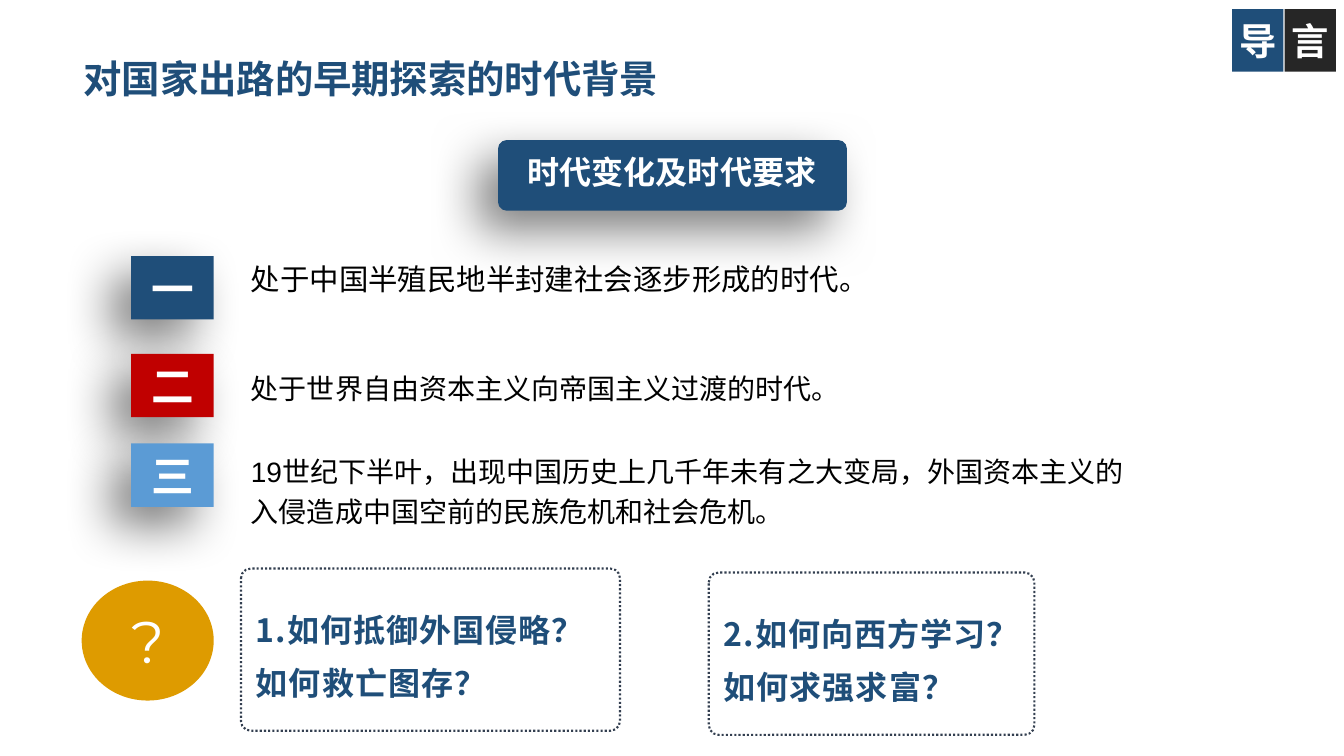
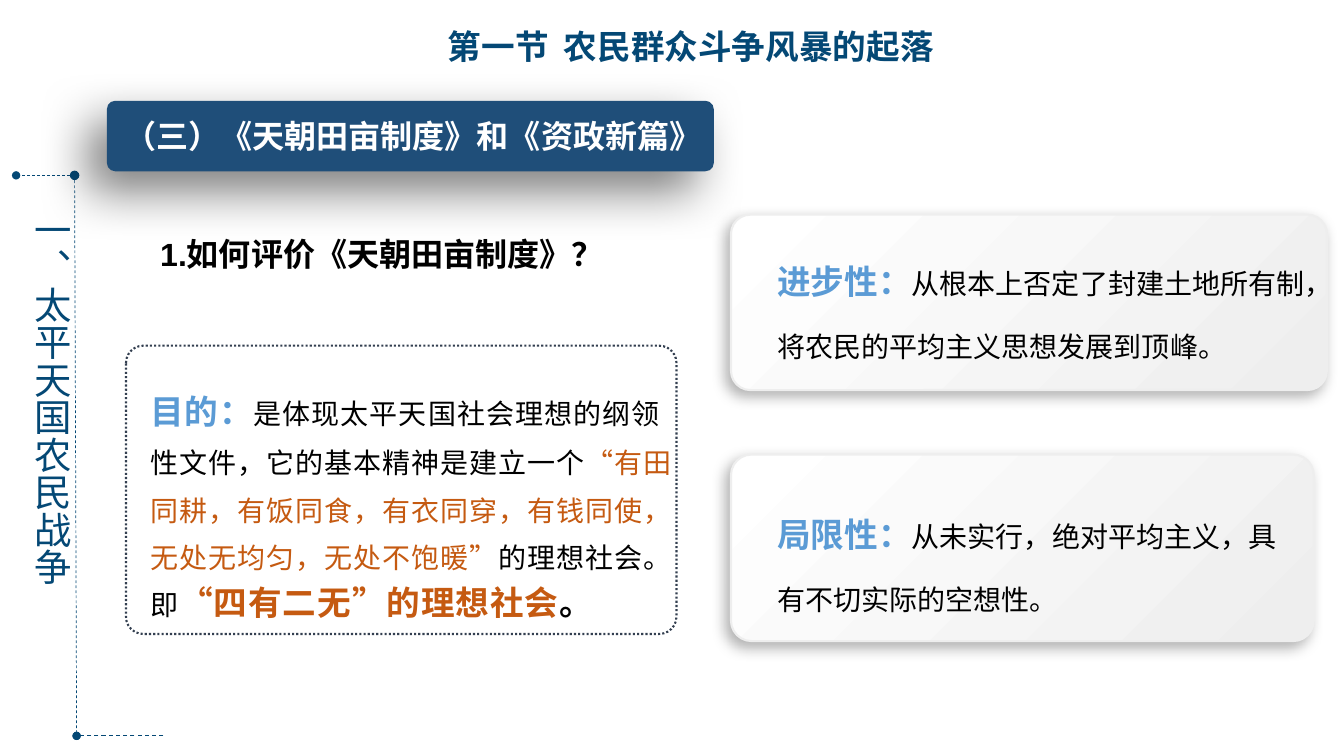
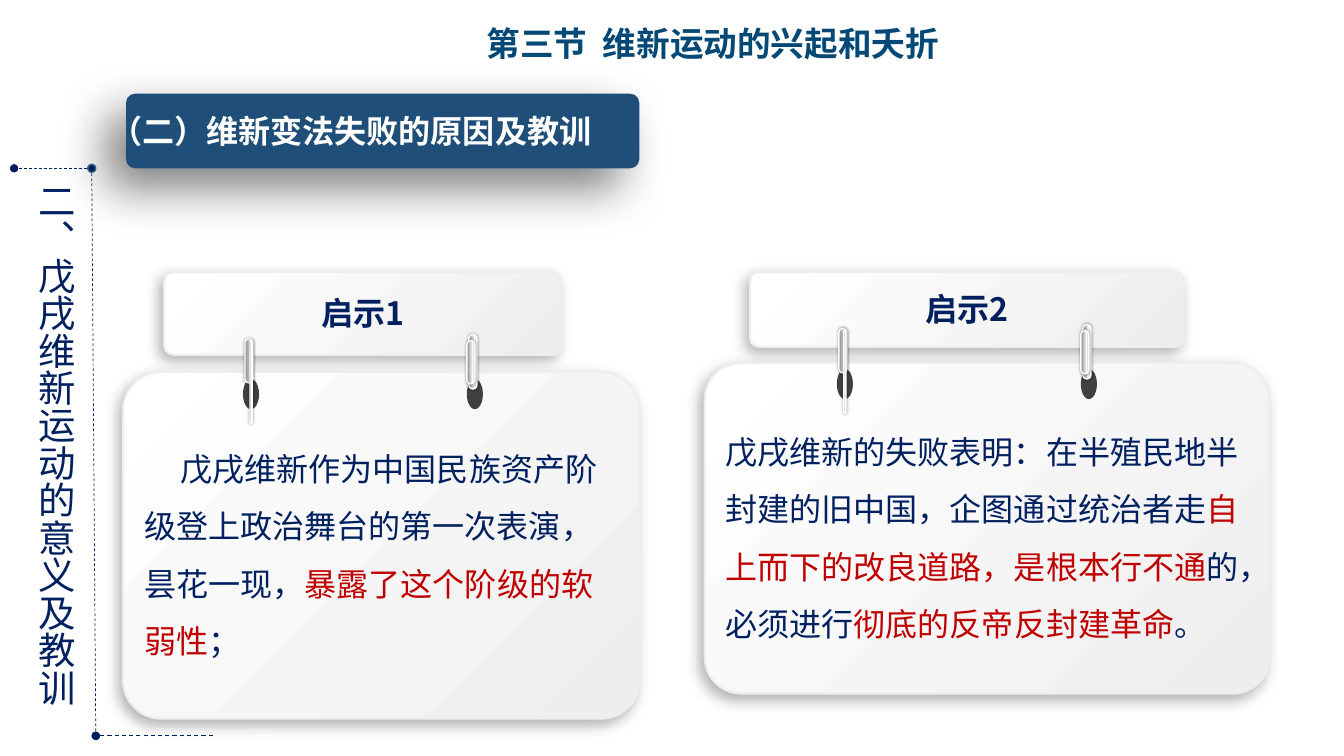
from lxml import etree
from pptx import Presentation
from pptx import util as u
from pptx.dml.color import RGBColor
from pptx.enum import dml, shapes, text
from pptx.oxml.ns import qn

PX = 9144  # EMU per px, 100 px to the inch
HAN = "Noto Sans CJK SC"
COL = {
    "navy": "1F4E79", "title": "044875", "ink": "002060", "sky": "5B9BD5",
    "red": "C00000", "rust": "C55A11", "gold": "DE9B00", "coal": "262626",
    "hole": "404040", "frame": "333F50", "edge": "EEEEEE", "ring": "43739E",
    "white": "FFFFFF", "black": "000000",
}
CARD = [(0, "EEEEEE"), (100, "FFFFFF")]
METAL = [(0, "808080"), (23, "A6A6A6"), (52, "D9D9D9"), (74, "FFFFFF"), (100, "A6A6A6")]
DEEP = (50, 35, 20, 135)  # alpha %, blur pt, distance pt, angle
SOFT = (30, 10, 5, 135)
GLOW = (40, 2, 0, 0)
MID = text.PP_ALIGN.CENTER
KIND = shapes.MSO_SHAPE
LEFT = [(2, -40, 8, 44), (7, -38, 2, 82)]
RIGHT = [(2, -44, 8, 54), (0, -38, 8, 43)]


def rgb(name):
    return RGBColor.from_string(COL[name])


def scale(*nums):
    return [u.Emu(n * PX) for n in nums]


def node(root, tag, **attrs):
    return etree.SubElement(root, qn("a:" + tag), {k: str(v) for k, v in attrs.items()})


def write(frame, *runs, size=20, color="black", bold=False, font=HAN, align=None,
          pitch=None, track=0, indent=0, inset=None, mid=False, vert=False):
    """Fill a frame with one paragraph; a run is a string or (string, changes)."""
    frame.word_wrap = True
    if mid:
        frame.vertical_anchor = text.MSO_ANCHOR.MIDDLE
    if inset:
        (frame.margin_left, frame.margin_top,
         frame.margin_right, frame.margin_bottom) = scale(*inset)
    if vert:
        frame._txBody.bodyPr.set("vert", "eaVert")
    para = frame.paragraphs[0]
    para.alignment = align or text.PP_ALIGN.LEFT
    para.line_spacing = u.Pt(pitch or round(size * 1.2))
    if indent:
        para._p.get_or_add_pPr().set("indent", str(indent * PX))
    for item in runs:
        words, diff = (item, {}) if isinstance(item, str) else item
        for i, line in enumerate(words.split("\n")):
            if i:
                para.add_line_break()
            run = para.add_run()
            run.text = line
            run.font.size = u.Pt(diff.get("size", size))
            run.font.bold = diff.get("bold", bold)
            run.font.color.rgb = rgb(diff.get("color", color))
            run.font.name = font
            prop = run._r.get_or_add_rPr()
            node(prop, "ea", typeface=HAN)
            if track:
                prop.set("spc", str(track))


def label(slide, box, *runs, **form):
    write(slide.shapes.add_textbox(*scale(*box)).text_frame, *runs, **form)


def blend(shape, stops, angle):
    shape.fill.gradient()
    shape.fill.gradient_angle = angle
    group = shape._element.spPr.find(qn("a:gradFill")).find(qn("a:gsLst"))
    for old in list(group):
        group.remove(old)
    for pos, hue in stops:
        node(node(group, "gs", pos=pos * 1000), "srgbClr", val=hue)


def shade(shape, alpha, blur, dist, angle):
    effects = shape._element.spPr.find(qn("a:effectLst"))
    outer = node(effects, "outerShdw", blurRad=blur * 12700, dist=dist * 12700,
                 dir=angle * 60000, algn="ctr", rotWithShape=0)
    node(node(outer, "srgbClr", val=COL["black"]), "alpha", val=alpha * 1000)


def block(slide, kind, box, fill=None, line=None, width=1, dash=None,
          round_by=None, cast=None, stops=None, angle=135):
    shape = slide.shapes.add_shape(kind, *scale(*box))
    shape.shadow.inherit = False
    if round_by is not None:
        shape.adjustments[0] = round_by
    if stops:
        blend(shape, stops, angle)
    elif fill:
        shape.fill.solid()
        shape.fill.fore_color.rgb = rgb(fill)
    else:
        shape.fill.background()
    if line:
        shape.line.color.rgb = rgb(line)
        shape.line.width = u.Pt(width)
        if dash:
            shape.line.dash_style = dash
    else:
        shape.line.fill.background()
    if cast:
        shade(shape, *cast)
    return shape


def chip(slide, box, word, fill, cast=None, **form):
    shape = block(slide, KIND.RECTANGLE, box, fill, cast=cast)
    form = {"size": 30.5, "bold": True, "color": "white", **form}
    write(shape.text_frame, word, align=MID, mid=True, inset=(0, 0, 0, 0), **form)


def banner(slide, box, area, words):
    block(slide, KIND.ROUNDED_RECTANGLE, box, "navy", round_by=0.12, cast=DEEP)
    label(slide, area, words, size=22.9, color="white", bold=True, align=MID, mid=True)


def card(slide, box):
    return block(slide, KIND.ROUNDED_RECTANGLE, box, line="edge", width=1.5,
                 round_by=0.11, cast=SOFT, stops=CARD)


def frame(slide, box):
    block(slide, KIND.ROUNDED_RECTANGLE, box, line="frame", width=1.5,
          dash=dml.MSO_LINE.ROUND_DOT, round_by=0.06)


def head(slide, x, y, words):
    label(slide, (x, y, 592, 50), words, size=24, color="title", bold=True, align=MID)


def dashes(slide, ends, color, width):
    """Dashed line that ends in a round dot."""
    link = slide.shapes.add_connector(shapes.MSO_CONNECTOR.STRAIGHT, *scale(*ends))
    link.line.color.rgb = rgb(color)
    link.line.width = u.Pt(width)
    link.line.dash_style = dml.MSO_LINE.DASH
    node(link.line._get_or_add_ln(), "tailEnd", type="oval")
    node(link._element.spPr, "effectLst")


def rail(slide, area, words, color, top, start, bend, foot, end, ring):
    """Vertical heading with the dashed line beside it."""
    label(slide, area, words, size=26.7, color=color, vert=True)
    base = 730
    dashes(slide, (end, base, foot, base), color, 0.75)
    dashes(slide, (bend, top, start, top), color, 0.5)
    dashes(slide, (bend, top, foot, base), color, 0.5)
    block(slide, KIND.OVAL, (bend - 4, top - 4, 8, 8), color, line=ring)


def clip(slide, x, y, pins):
    block(slide, KIND.OVAL, (x, y, 16, 30), "hole")
    for dx, dy, wide, high in pins:
        block(slide, KIND.ROUNDED_RECTANGLE, (x + dx, y + dy, wide, high), line="white",
              round_by=0.5, cast=GLOW, stops=METAL, angle=0)


def note(slide, tab, name, body, runs, clips, indent=0):
    """Pair of cards held together by two clips."""
    write(card(slide, tab).text_frame, name, size=22.9, color="ink", bold=True,
          align=MID, mid=True)
    write(card(slide, body).text_frame, *runs, size=22.9, color="ink", pitch=41,
          mid=True, indent=indent)
    y, *spots = clips
    for x, pins in zip(spots, (LEFT, RIGHT)):
        clip(slide, x, y, pins)


def intro(slide):
    label(slide, (73, 54, 630, 82), "对国家出路的早期探索的时代背景",
          size=27.4, color="navy", bold=True, pitch=30)
    for x, word, fill in ((1222, "导", "navy"), (1274, "言", "coal")):
        chip(slide, (x, 9, 51, 62), word, fill, size=26.7, font="Calibri")
    banner(slide, (494, 139, 346, 70), (509, 146, 315, 49), "时代变化及时代要求")
    rows = [
        (254, "一", "navy", 254, 21, "处于中国半殖民地半封建社会逐步形成的时代。"),
        (351, "二", "red", 357, 20, "处于世界自由资本主义向帝国主义过渡的时代。"),
        (440, "三", "sky", 440, 20, "19世纪下半叶，出现中国历史上几千年未有之大变局，"
                                    "外国资本主义的入侵造成中国空前的民族危机和社会危机。"),
    ]
    for y, word, fill, top, size, words in rows:
        chip(slide, (130, y, 82, 63), word, fill, cast=DEEP)
        label(slide, (239, top, 903, 86), words, size=size, font="Arial",
              pitch=28.5 if size == 20 else None)
    mark = block(slide, KIND.OVAL, (81, 576, 131, 119), "gold")
    write(mark.text_frame, "?", size=41.9, color="white", font="Montserrat",
          align=MID, mid=True)
    asks = [
        (239, 564, 376, "1.如何抵御外国侵略？\n如何救亡图存？"),
        (703, 568, 323, "2.如何向西方学习？\n如何求强求富？"),
    ]
    for x, y, wide, words in asks:
        frame(slide, (x, y, wide, 161))
        label(slide, (x + 5, y, 369, 131), words, size=22.9, color="navy", bold=True,
              pitch=38, track=70, inset=(10, 27, 10, 5))


def land(slide):
    rail(slide, (14, 200, 65, 429), "一、太平天国农民战争", "title",
         174, 16, 74, 76, 162, "title")
    head(slide, 389, 21, "第一节  农民群众斗争风暴的起落")
    banner(slide, (106, 100, 602, 70), (110, 110, 599, 49),
           "（三）《天朝田亩制度》和《资政新篇》")
    label(slide, (149, 228, 509, 49), "1.如何评价《天朝田亩制度》？",
          size=22.9, bold=True, font="Arial")
    big = {"size": 24, "bold": True}
    lead = {**big, "color": "sky"}
    frame(slide, (125, 343, 546, 286))
    label(slide, (139, 345, 547, 285),
          ("目的：", lead),
          "是体现太平天国社会理想的纲领性文件，它的基本精神是建立一个",
          ("“有田同耕，有饭同食，有衣同穿，有钱同使，无处无均匀，无处不饱暖”", {"color": "rust"}),
          "的理想社会。即",
          ("“四有二无”的理想社会", {**big, "color": "rust"}),
          ("。", big),
          font="Arial", pitch=34, track=70, inset=(10, 36, 10, 5))
    views = [
        ((725, 213, 591, 174), (771, 238, 523, 123), "进步性：",
         "从根本上否定了封建土地所有制，将农民的平均主义思想发展到顶峰。"),
        ((725, 451, 578, 185), (771, 489, 499, 123), "局限性：",
         "从未实行，绝对平均主义，具有不切实际的空想性。"),
    ]
    for box, area, name, words in views:
        card(slide, box)
        label(slide, area, (name, lead), words, font="Arial", pitch=44, inset=(0, 0, 0, 0))


def reform(slide):
    rail(slide, (18, 171, 65, 542), "二、戊戌维新运动的意义及教训", "ink",
         167, 14, 91, 95, 211, "ring")
    head(slide, 411, 18, "第三节  维新运动的兴起和夭折")
    banner(slide, (125, 93, 509, 74), (95, 104, 506, 52), "（二）维新变法失败的原因及教训")
    red = {"color": "red"}
    note(slide, (163, 270, 394, 82), "启示1", (122, 369, 512, 344),
         ["戊戌维新作为中国民族资产阶级登上政治舞台的第一次表演，昙花一现，",
          ("暴露了这个阶级的软弱性", red), "；"],
         (376, 241, 463), indent=36)
    note(slide, (744, 270, 430, 74), "启示2", (699, 360, 560, 328),
         ["戊戌维新的失败表明：在半殖民地半封建的旧中国，企图通过统治者走",
          ("自上而下的改良道路，是根本行不通", red), "的，必须进行",
          ("彻底的反帝反封建革命", red), "。"],
         (366, 830, 1072))


def main():
    deck = Presentation()
    deck.slide_width, deck.slide_height = scale(1333, 750)
    for build in (intro, land, reform):
        build(deck.slides.add_slide(deck.slide_layouts[6]))
    deck.save("out.pptx")


if __name__ == "__main__":
    main()
